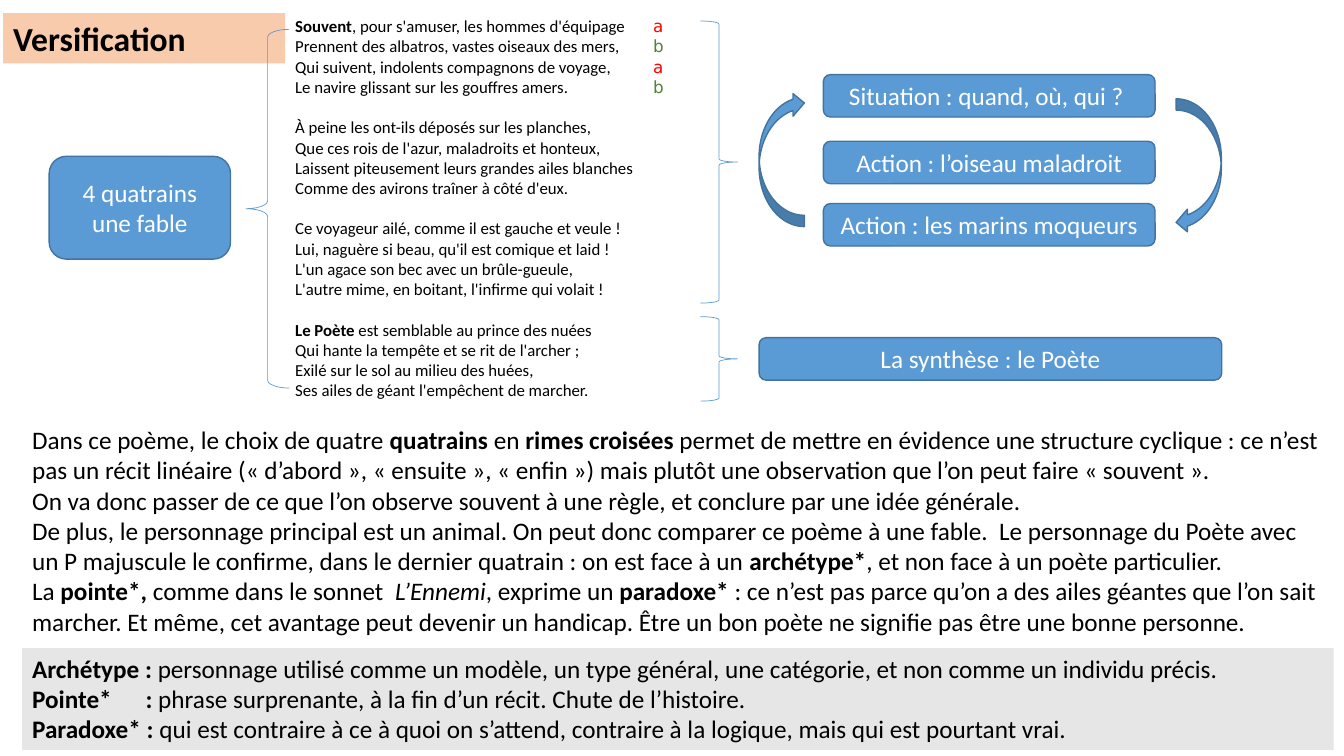
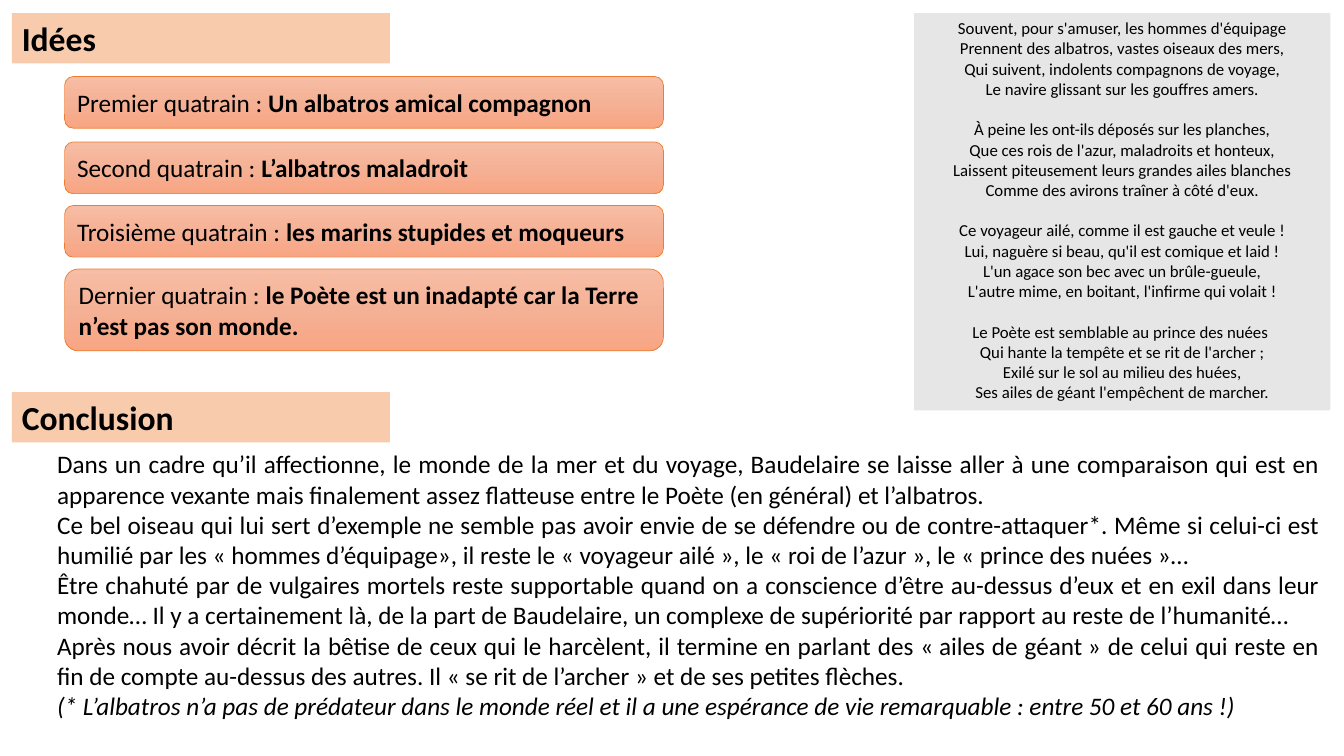
"""Build two slides on a poem: its versification, then its ideas and conclusion."""
from copy import deepcopy
from itertools import cycle

from lxml.etree import SubElement
from pptx import Presentation
from pptx.dml.color import RGBColor
from pptx.enum.shapes import MSO_SHAPE as SHAPE
from pptx.enum.text import MSO_ANCHOR as ANCHOR, PP_ALIGN as ALIGN
from pptx.oxml.ns import qn
from pptx.util import Cm, Pt

COLORS = {
    "black": "000000", "white": "FFFFFF", "grey": "E7E6E6", "peach": "F8CBAD",
    "blue": "5B9BD5", "navy": "43739E", "orange": "ED7D31",
    "red": "FF0000", "green": "548235",
    "salmon_top": "F7BDA5", "salmon_mid": "F5B196", "salmon_low": "F8A582",
}
SALMON = ((0, "salmon_top"), (0.5, "salmon_mid"), (1, "salmon_low"))
BOLD, ITALIC = "|", "~"
COLON_TAB = 2.86

POEM = [
    ("|Souvent|, pour s'amuser, les hommes d'équipage",
     "Prennent des albatros, vastes oiseaux des mers,",
     "Qui suivent, indolents compagnons de voyage,",
     "Le navire glissant sur les gouffres amers."),
    ("À peine les ont-ils déposés sur les planches,",
     "Que ces rois de l'azur, maladroits et honteux,",
     "Laissent piteusement leurs grandes ailes blanches",
     "Comme des avirons traîner à côté d'eux."),
    ("Ce voyageur ailé, comme il est gauche et veule !",
     "Lui, naguère si beau, qu'il est comique et laid !",
     "L'un agace son bec avec un brûle-gueule,",
     "L'autre mime, en boitant, l'infirme qui volait !"),
    ("|Le Poète |est semblable au prince des nuées ",
     "Qui hante la tempête et se rit de l'archer ;",
     "Exilé sur le sol au milieu des huées,",
     "Ses ailes de géant l'empêchent de marcher."),
]
ANALYSIS = [
    "Dans ce poème, le choix de quatre |quatrains| en |rimes croisées |permet de mettre en "
    "évidence une structure cyclique : ce n’est pas un récit linéaire («\u00a0d’abord\u00a0», "
    "«\u00a0ensuite\u00a0», «\u00a0enfin\u00a0») mais plutôt une observation que l’on peut "
    "faire «\u00a0souvent\u00a0». ",
    "On va donc passer de ce que l’on observe souvent à une règle, et conclure par une idée "
    "générale. ",
    "De plus, le personnage principal est un animal. On peut donc comparer ce poème à une "
    "fable.  Le personnage du Poète avec un P majuscule le confirme, dans le dernier quatrain "
    ": on est face à un |archétype*|, et non face à un poète particulier.",
    "La |pointe*, |comme dans le sonnet  ~L’Ennemi~, exprime un |paradoxe*| : ce n’est pas "
    "parce qu’on a des ailes géantes que l’on sait marcher. Et même, cet avantage peut devenir "
    "un handicap. Être un bon poète ne signifie pas être une bonne personne.",
]
GLOSSARY = [
    "|Archétype : |personnage utilisé comme un modèle, un type général, une catégorie, et non "
    "comme un individu précis.",
    "|Pointe*\t: |phrase surprenante, à la fin d’un récit. Chute de l’histoire. ",
    "|Paradoxe* :| qui est contraire à ce à quoi on s’attend, contraire à la logique, mais qui "
    "est pourtant vrai.",
]
STEPS = [
    ("Situation : quand, où, qui ? ", (20.75, 1.88, 8.36, 1.07)),
    ("Action : l’oiseau maladroit", (20.75, 3.56, 8.36, 1.07)),
    ("Action : les marins moqueurs", (20.75, 5.13, 8.36, 1.07)),
    ("La synthèse : le Poète", (19.13, 8.51, 11.66, 1.07)),
    ("4 quatrains une fable", (1.24, 3.94, 4.57, 2.59)),
]
BRACES = [
    (SHAPE.RIGHT_BRACE, (17.65, 0.53, 0.94, 7.11), 0.083),
    (SHAPE.RIGHT_BRACE, (17.65, 7.98, 0.94, 2.13), 0.083),
    (SHAPE.LEFT_BRACE, (6.2, 0.74, 1.09, 9.04), 0.183),
]
CYCLE_ARROWS = [((29.64, 2.49, 1.14, 3.4), 0), ((19.13, 2.31, 1.14, 3.4), 180)]
IDEAS = [
    ("Premier quatrain : |Un albatros amical compagnon", 1.93, 1.3),
    ("Second quatrain : |L’albatros maladroit", 3.58, 1.3),
    ("Troisième quatrain : |les marins stupides et moqueurs", 5.18, 1.3),
    ("Dernier quatrain : |le Poète est un inadapté car la Terre n’est pas son monde.",
     6.78, 2.06),
]
CONCLUSION = [
    "Dans un cadre qu’il affectionne, le monde de la mer et du voyage, Baudelaire se laisse "
    "aller à une comparaison qui est en apparence vexante mais finalement assez flatteuse entre "
    "le Poète (en général) et l’albatros.",
    "Ce bel oiseau qui lui sert d’exemple ne semble pas avoir envie de se défendre ou de "
    "contre-attaquer*. Même si celui-ci est humilié par les «\u00a0hommes d’équipage», il reste "
    "le «\u00a0voyageur ailé\u00a0», le «\u00a0roi de l’azur\u00a0», le «\u00a0prince des "
    "nuées\u00a0»… ",
    "Être chahuté par de vulgaires mortels reste supportable quand on a conscience d’être "
    "au-dessus d’eux et en exil dans leur monde… Il y a certainement là, de la part de "
    "Baudelaire, un complexe de supériorité par rapport au reste de l’humanité…",
    "Après nous avoir décrit la bêtise de ceux qui le harcèlent, il termine en parlant des "
    "«\u00a0ailes de géant\u00a0» de celui qui reste en fin de compte au-dessus des autres. Il "
    "«\u00a0se rit de l’archer\u00a0» et de ses petites flèches. ",
]
FOOTNOTE = ("~(* L’albatros n’a pas de prédateur dans le monde réel et il a une espérance de vie "
            "remarquable : entre 50 et 60 ans !)")


def rgb(name):
    return RGBColor.from_string(COLORS[name])


def add_spans(para, line, color, format_values):
    bold = italic = False
    for part in line.replace(BOLD, f"\n{BOLD}\n").replace(ITALIC, f"\n{ITALIC}\n").split("\n"):
        if part == BOLD:
            bold = not bold
        elif part == ITALIC:
            italic = not italic
        elif part:
            span = para.add_run()
            span.text = part
            span.font.color.rgb = rgb(color)
            for key, value in {**format_values, "bold": bold, "italic": italic}.items():
                setattr(span.font, key, value)


def write(box, paragraphs, size=18, colors=("black",), align=ALIGN.LEFT, anchor=ANCHOR.TOP,
          font="Calibri", gaps=()):
    frame = box.text_frame
    frame.word_wrap = True
    frame.vertical_anchor = anchor
    for index, (content, color) in enumerate(zip(paragraphs, cycle(colors))):
        para = frame.paragraphs[0] if index == 0 else frame.add_paragraph()
        para.alignment = align
        if index in gaps:
            para.space_before = Pt(round(size * 1.22, 1))
        lines = (content,) if isinstance(content, str) else content
        for number, line in enumerate(lines):
            if number:
                para.add_line_break()
                para._p.findall(qn("a:br"))[-1].get_or_add_rPr().set("sz", str(size * 100)) \
                    if hasattr(para._p.findall(qn("a:br"))[-1], "get_or_add_rPr") else None
            add_spans(para, line, color, {"size": Pt(size), "name": font})
            if "\t" in line:
                tabs = SubElement(para._p.get_or_add_pPr(), qn("a:tabLst"))
                SubElement(tabs, qn("a:tab"), pos=str(Cm(COLON_TAB)), algn="l")


def add_text(page, place, paragraphs, **style):
    write(page.shapes.add_textbox(*map(Cm, place)), paragraphs, **style)


def add_box(page, kind, place, fill=None, line=None, width=1):
    box = page.shapes.add_shape(kind, *map(Cm, place))
    box.shadow.inherit = False
    if fill:
        box.fill.solid()
        box.fill.fore_color.rgb = rgb(fill)
    else:
        box.fill.background()
    if line:
        box.line.color.rgb = rgb(line)
        box.line.width = Pt(width)
    else:
        box.line.fill.background()
    return box


def add_panel(page, place, fill, paragraphs, **style):
    write(add_box(page, SHAPE.RECTANGLE, place, fill), paragraphs, **style)


def add_title(page, text, left, top, width):
    add_panel(page, (left, top, width, 1.27), "peach", [f"|{text}"], size=24)


def shade(box):
    box.fill.gradient()
    box.fill.gradient_angle = 270
    first = box._element.spPr.find(".//" + qn("a:gs"))
    first.addnext(deepcopy(first))
    for stop, (position, color) in zip(box.fill.gradient_stops, SALMON):
        stop.position = position
        stop.color.rgb = rgb(color)


def build_versification(page):
    add_text(page, (0.56, 10.57, 33.05, 5.64), ANALYSIS)
    add_panel(page, (0.56, 16.33, 33.05, 2.57), "grey", GLOSSARY)
    add_panel(page, (7.19, 0.28, 9.78, 10.01), "white", POEM, size=12, gaps=(1, 2, 3))
    add_title(page, "Versification", 0.08, 0.33, 7.11)
    add_text(page, (16.21, 0.28, 0.99, 2.31), "abab", size=12, colors=("red", "green"),
             font="DejaVu Sans")
    for kind, place, curve in BRACES:
        add_box(page, kind, place, line="blue", width=0.5).adjustments[0] = curve
    for text, place in STEPS:
        write(add_box(page, SHAPE.ROUNDED_RECTANGLE, place, "blue", "navy"), [text],
              colors=("white",), align=ALIGN.CENTER, anchor=ANCHOR.MIDDLE)
    for place, turn in CYCLE_ARROWS:
        add_box(page, SHAPE.CURVED_LEFT_ARROW, place, "blue", "navy").rotation = turn


def build_ideas(page):
    add_text(page, (1.19, 11.18, 32.33, 7.87), CONCLUSION, align=ALIGN.JUSTIFY)
    add_title(page, "Idées", 0.3, 0.33, 9.53)
    add_title(page, "Conclusion ", 0.3, 9.88, 9.53)
    for text, top, height in IDEAS:
        box = add_box(page, SHAPE.ROUNDED_RECTANGLE, (1.63, top, 15.09, height),
                      line="orange", width=0.5)
        shade(box)
        write(box, [text], anchor=ANCHOR.MIDDLE)
    plain_poem = [[line.replace(BOLD, "") for line in stanza] for stanza in POEM]
    add_panel(page, (23.04, 0.33, 10.49, 10.01), "grey", plain_poem, size=12,
              align=ALIGN.CENTER, gaps=(1, 2, 3))


CONCLUSION.append(FOOTNOTE)
deck = Presentation()
deck.slide_width, deck.slide_height = Cm(33.87), Cm(19.05)
for build in (build_versification, build_ideas):
    build(deck.slides.add_slide(deck.slide_layouts[6]))
deck.save("out.pptx")
